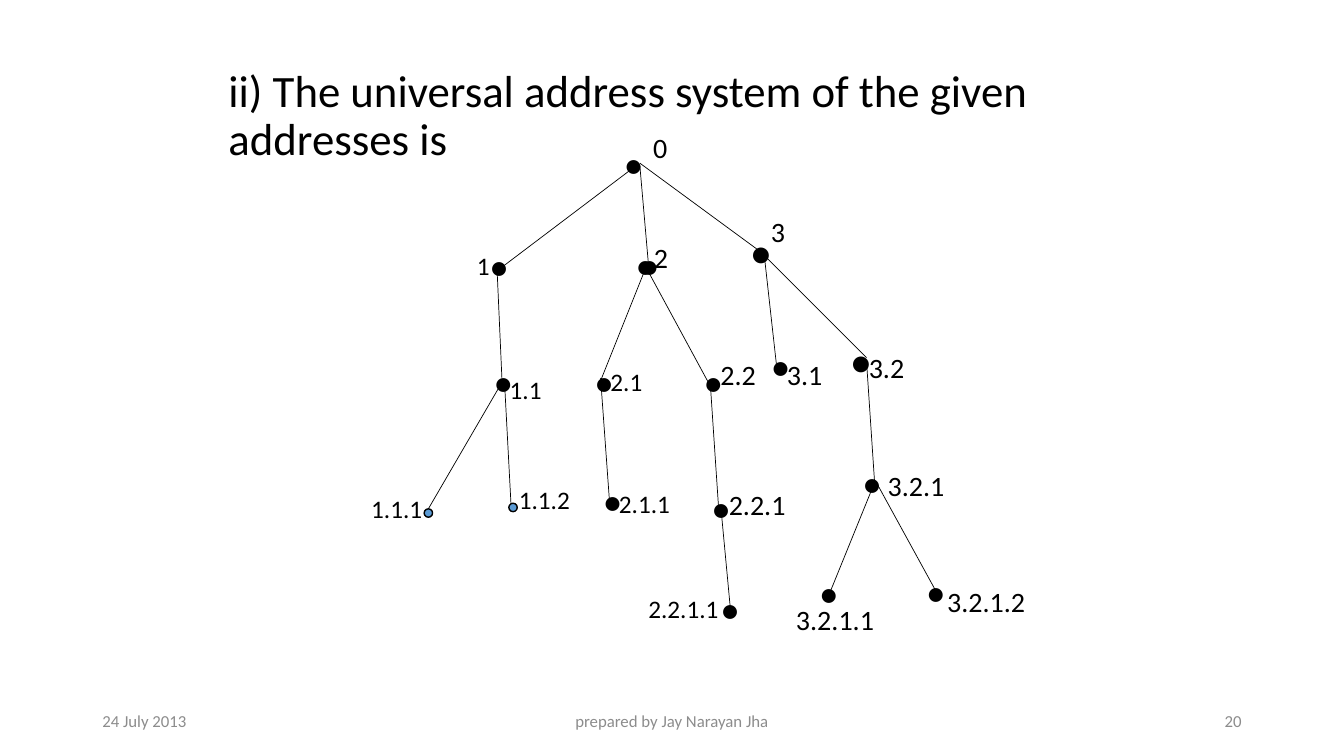
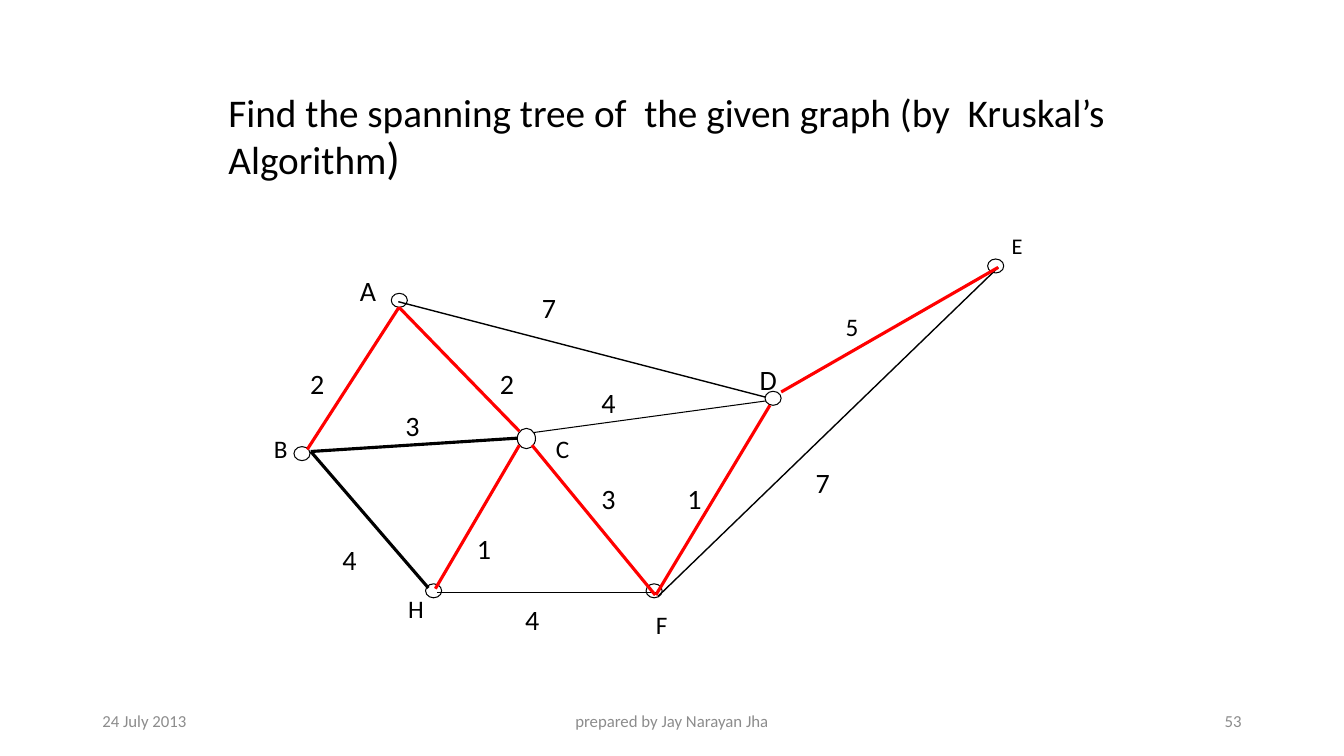
"""Build two graph theory slides: an address tree and a spanning tree."""
from pptx import Presentation
from pptx.dml.color import RGBColor
from pptx.enum.shapes import MSO_CONNECTOR as CONN, MSO_SHAPE as SHAPE
from pptx.enum.text import MSO_ANCHOR as ANCHOR, MSO_AUTO_SIZE as FIT, PP_ALIGN as ALIGN
from pptx.oxml.ns import qn
from pptx.util import Pt
from lxml import etree

BLACK, GREY, WHITE, BLUE, RED = "000000", "8C8C8C", "FFFFFF", "5B9BD5", "FF0000"
GLYPH = {".": 0.25, "•": 0.47}
FOOTERS = [(66, 216, ALIGN.LEFT), (318, 324, ALIGN.CENTER), (678, 216, ALIGN.RIGHT)]


def rgb(code):
    return RGBColor.from_string(code)


def add_run(p, text, size, color=BLACK):
    r = p.add_run()
    r.text = text
    for name, value in {"name": "Calibri", "size": Pt(size)}.items():
        setattr(r.font, name, value)
    r.font.color.rgb = rgb(color)


tree_edges = [
    (461, 192, 429, 272), (453.5, 119, 357, 192), (457, 117.5, 463, 186.5),
    (457, 116.5, 543.5, 180), (547, 183.5, 619, 255.5), (462, 192, 507.5, 276),
    (619, 258.5, 625, 348.5), (546, 183, 555, 264), (429, 270, 435.5, 360),
    (355, 191, 358.5, 270), (359.5, 271.5, 304.5, 366), (360.5, 275, 365, 360),
    (507.5, 276, 513.5, 366), (515.5, 368.5, 522, 438), (624, 346.5, 592.5, 424),
    (627, 346.5, 669.5, 424),
]
tree_leaves = [(303, 363.5, 6, 6), (363.5, 359.5, 6, 6)]
tree_dots = [
    (447, 168, 28), (450, 168, 28), (543.5, 240.5, 28), (417.5, 252, 28),
    (345.5, 252, 28), (495.5, 252, 28), (501, 342, 28), (423.5, 337, 28),
    (342.5, 168.5, 28), (609, 324, 28), (578, 402.5, 28), (507.5, 414, 28),
    (654.5, 402, 28), (438.5, 96, 28), (600, 234, 32), (528.5, 156, 32),
]
tree_labels = [
    ("0", 459.5, 90, 20), ("1", 333.5, 175, 18), ("2", 460, 168.5, 20),
    ("3", 543.5, 150, 20), ("1.1", 357, 264, 18), ("2.1", 429, 258, 18),
    ("2.2", 507.5, 252, 20), ("3.1", 555, 252, 20), ("3.2", 613.5, 247, 20),
    ("1.1.1", 258, 349, 18), ("1.1.2", 363.5, 342.5, 18), ("2.1.1", 435, 345, 18),
    ("2.2.1", 513.5, 345, 20), ("3.2.1", 627, 331, 20), ("2.2.1.1", 456, 420, 18),
    ("3.2.1.1", 561.5, 427, 20), ("3.2.1.2", 669.5, 414, 20),
]

graph_outer = [(x, y, 11.5, 10) for x, y in
               [(279.5, 209.5), (210, 319), (304, 417), (461.5, 417), (705.5, 185)]]
graph_inner = [(369.5, 306, 13, 14.5), (546.5, 279.5, 11.5, 10)]
graph_back_edges = [
    (222, 322.5, 306, 420, BLACK, 2.25), (369.5, 313, 222, 322.5, BLACK, 2.25),
    (381, 309, 550, 286, BLACK, 0.75), (312, 423.5, 468.5, 423.5, BLACK, 0.75),
    (284.5, 215.5, 550, 284.5, BLACK, 1),
]
graph_front_edges = [
    (380, 318, 468, 425, RED, 2.25), (550, 289.5, 468.5, 425, RED, 2.25),
    (470, 426, 713, 191, BLACK, 1), (558, 280, 713, 191, RED, 2.25),
    (371, 318, 311, 420.5, RED, 2.25), (371, 308, 285, 219.5, RED, 2.25),
    (285, 219.5, 219.5, 321, RED, 2.25),
]
graph_labels = [
    ("A", 250, 192, 20), ("B", 188.5, 306, 18), ("C", 390, 306, 18),
    ("D", 535.5, 255.5, 20), ("E", 715.5, 162, 16), ("F", 461.5, 432, 18),
    ("H", 284.5, 420, 18), ("2", 214.5, 258, 20), ("4", 237.5, 384, 20),
    ("4", 368, 427, 20), ("1", 333.5, 376, 20), ("3", 422.5, 340.5, 20),
    ("1", 484, 340.5, 20), ("7", 575.5, 329, 20), ("5", 597, 219, 18),
    ("4", 422.5, 272, 20), ("2", 350, 258, 20), ("7", 380, 204, 20),
    ("3", 282.5, 288.5, 20),
]

slides = [
    {"number": "20", "top": 45.5,
     "title": [("ii) The universal address system of the given addresses is", 32)],
     "layers": [([edge + (BLACK, 0.5) for edge in tree_edges], tree_leaves, BLUE, 1)],
     "labels": [("•", *dot) for dot in tree_dots] + tree_labels},
    {"number": "53", "top": 63,
     "title": [("Find the spanning tree of  the given graph (by  Kruskal’s Algorithm", 28),
               (")", 32)],
     "layers": [([], graph_outer, WHITE, 0.75),
                (graph_back_edges, graph_inner, WHITE, 0.75),
                (graph_front_edges, [], WHITE, 0.75)],
     "labels": graph_labels},
]

prs = Presentation()
prs.slide_width, prs.slide_height = Pt(960), Pt(540)

for page in slides:
    s = prs.slides.add_slide(prs.slide_layouts[5])
    title = s.shapes.title
    box = {"left": 156, "top": page["top"], "width": 653, "height": 80}
    for name, value in box.items():
        setattr(title, name, Pt(value))
    tf = title.text_frame
    for name, value in {"word_wrap": True, "auto_size": FIT.NONE,
                        "vertical_anchor": ANCHOR.TOP}.items():
        setattr(tf, name, value)
    p = tf.paragraphs[0]
    p.alignment, p.line_spacing = ALIGN.LEFT, 0.9
    for text, size in page["title"]:
        add_run(p, text, size)

    footer_texts = ["24 July 2013", "prepared by Jay Narayan Jha", page["number"]]
    for (x, w, align), text in zip(FOOTERS, footer_texts):
        tf = s.shapes.add_textbox(Pt(x), Pt(500.5), Pt(w), Pt(29)).text_frame
        tf.word_wrap, tf.vertical_anchor = True, ANCHOR.MIDDLE
        p = tf.paragraphs[0]
        p.alignment = align
        add_run(p, text, 12, GREY)

    for edges, nodes, fill, outline in page["layers"]:
        for x1, y1, x2, y2, color, width in edges:
            edge = s.shapes.add_connector(CONN.STRAIGHT, Pt(x1), Pt(y1), Pt(x2), Pt(y2))
            edge.line.color.rgb, edge.line.width = rgb(color), Pt(width)
            etree.SubElement(edge._element.spPr, qn("a:effectLst"))
        for x, y, w, h in nodes:
            node = s.shapes.add_shape(SHAPE.OVAL, Pt(x), Pt(y), Pt(w), Pt(h))
            node.shadow.inherit = False
            node.fill.solid()
            node.fill.fore_color.rgb = rgb(fill)
            node.line.color.rgb, node.line.width = rgb(BLACK), Pt(outline)

    for text, x, y, size in page["labels"]:
        ems = sum(0.58 if c.isalpha() else GLYPH.get(c, 0.51) for c in text)
        w, h = round(14.4 + ems * size, 2), round(7.2 + 1.22 * size, 2)
        tf = s.shapes.add_textbox(Pt(x), Pt(y), Pt(w), Pt(h)).text_frame
        tf.word_wrap, tf.auto_size = False, FIT.SHAPE_TO_FIT_TEXT
        add_run(tf.paragraphs[0], text, size)

prs.save("out.pptx")
